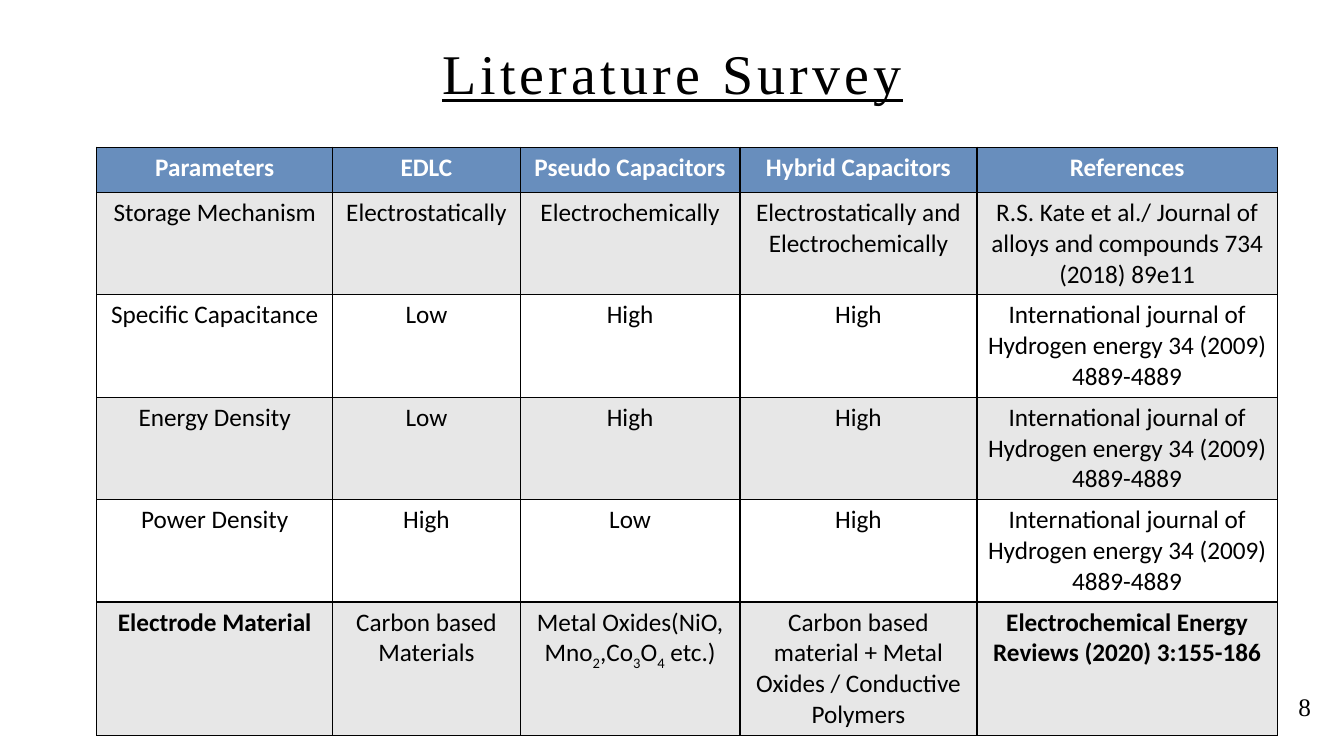
"""Build the literature survey slide comparing capacitor types."""
from dataclasses import dataclass

from lxml.etree import SubElement
from pptx import Presentation
from pptx.dml.color import RGBColor
from pptx.enum.text import PP_ALIGN
from pptx.oxml.ns import qn
from pptx.slide import Slide
from pptx.table import _Cell
from pptx.text.text import _Run
from pptx.util import Emu, Pt

EMU_PER_PX = 9144
COLORS = {
    "text": "000000",
    "border": "000000",
    "header": "688EBD",
    "header_text": "FFFFFF",
    "odd_row": "E7E7E7",
    "even_row": "FFFFFF",
}
BORDER_WIDTH = Pt(1)
SUBSCRIPT_MARK = "_"


@dataclass(frozen=True)
class Label:
    text: str
    left: int
    top: int
    width: int
    height: int
    size: int
    align: PP_ALIGN = PP_ALIGN.LEFT
    inset: int = 10
    underline: bool = False
    line_spacing: float = 1.0
    letter_spacing: int = 0


@dataclass(frozen=True)
class SurveyRow:
    height: int
    entries: tuple[str, ...]
    bold_columns: tuple[int, ...] = ()


HYDROGEN_JOURNAL = "International journal of Hydrogen energy 34 (2009) 4889-4889"
COLUMN_WIDTHS = (234, 186, 218, 235, 298)
SURVEY_LEFT, SURVEY_TOP = 96, 146
SURVEY = (
    SurveyRow(45, ("Parameters", "EDLC", "Pseudo Capacitors", "Hybrid Capacitors",
                   "References"), (0, 1, 2, 3, 4)),
    SurveyRow(97, ("Storage Mechanism", "Electrostatically", "Electrochemically",
                   "Electrostatically and Electrochemically",
                   "R.S. Kate et al./ Journal of alloys and compounds 734 (2018) 89e11")),
    SurveyRow(97, ("Specific Capacitance", "Low", "High", "High", HYDROGEN_JOURNAL)),
    SurveyRow(97, ("Energy Density", "Low", "High", "High", HYDROGEN_JOURNAL)),
    SurveyRow(97, ("Power Density", "High", "Low", "High", HYDROGEN_JOURNAL)),
    SurveyRow(126, ("Electrode Material", "Carbon based Materials",
                    "Metal Oxides(NiO, Mno_2_,Co_3_O_4_ etc.)",
                    "Carbon based material + Metal Oxides / Conductive Polymers",
                    "Electrochemical Energy Reviews (2020) 3:155-186"), (0, 4)),
)
LABELS = (
    Label("Literature Survey", 117, 46, 1100, 100, 40, PP_ALIGN.CENTER, inset=0,
          underline=True, line_spacing=0.9, letter_spacing=3),
    Label("8", 1278, 681, 33, 40, 18),
)


def px(length: int) -> Emu:
    return Emu(length * EMU_PER_PX)


def format_run(run: _Run, family: str, size: int, color: str, bold: bool = False) -> None:
    run.font.name = family
    run.font.size = Pt(size)
    run.font.bold = bold
    run.font.color.rgb = RGBColor.from_string(COLORS[color])


def add_label(slide: Slide, label: Label) -> None:
    box = slide.shapes.add_textbox(
        px(label.left), px(label.top), px(label.width), px(label.height))
    frame = box.text_frame
    frame.word_wrap = True
    frame.margin_left = frame.margin_right = px(label.inset)
    frame.margin_top = frame.margin_bottom = px(label.inset // 2)
    frame.text = label.text
    paragraph = frame.paragraphs[0]
    paragraph.alignment = label.align
    paragraph.line_spacing = label.line_spacing
    run = paragraph.runs[0]
    format_run(run, "Times New Roman", label.size, "text")
    run.font.underline = label.underline
    if label.letter_spacing:
        run.font._element.set("spc", str(label.letter_spacing * 100))


def outline_cell(cell: _Cell) -> None:
    properties = cell._tc.get_or_add_tcPr()
    for side in ("a:lnL", "a:lnR", "a:lnT", "a:lnB"):
        line = SubElement(properties, qn(side), w=str(BORDER_WIDTH))
        fill = SubElement(line, qn("a:solidFill"))
        SubElement(fill, qn("a:srgbClr"), val=COLORS["border"])


def fill_cell(cell: _Cell, entry: str, fill: str, color: str, bold: bool) -> None:
    outline_cell(cell)
    cell.fill.solid()
    cell.fill.fore_color.rgb = RGBColor.from_string(COLORS[fill])
    paragraph = cell.text_frame.paragraphs[0]
    paragraph.alignment = PP_ALIGN.CENTER
    for index, piece in enumerate(entry.split(SUBSCRIPT_MARK)):
        run = paragraph.add_run()
        run.text = piece
        format_run(run, "Calibri", 18, color, bold)
        if index % 2:
            run.font._element.set("baseline", "-25000")


def add_survey(slide: Slide) -> None:
    table = slide.shapes.add_table(
        len(SURVEY), len(COLUMN_WIDTHS), px(SURVEY_LEFT), px(SURVEY_TOP),
        px(sum(COLUMN_WIDTHS)), px(sum(row.height for row in SURVEY))).table
    table.horz_banding = False
    for column, width in zip(table.columns, COLUMN_WIDTHS):
        column.width = px(width)
    for row_index, row in enumerate(SURVEY):
        table.rows[row_index].height = px(row.height)
        fill, color = "odd_row" if row_index % 2 else "even_row", "text"
        if row_index == 0:
            fill, color = "header", "header_text"
        for column_index, entry in enumerate(row.entries):
            fill_cell(table.cell(row_index, column_index), entry, fill, color,
                      column_index in row.bold_columns)


def main() -> None:
    presentation = Presentation()
    presentation.slide_width, presentation.slide_height = px(1333), px(750)
    slide = presentation.slides.add_slide(presentation.slide_layouts[6])
    add_survey(slide)
    for label in LABELS:
        add_label(slide, label)
    presentation.save("out.pptx")


if __name__ == "__main__":
    main()
